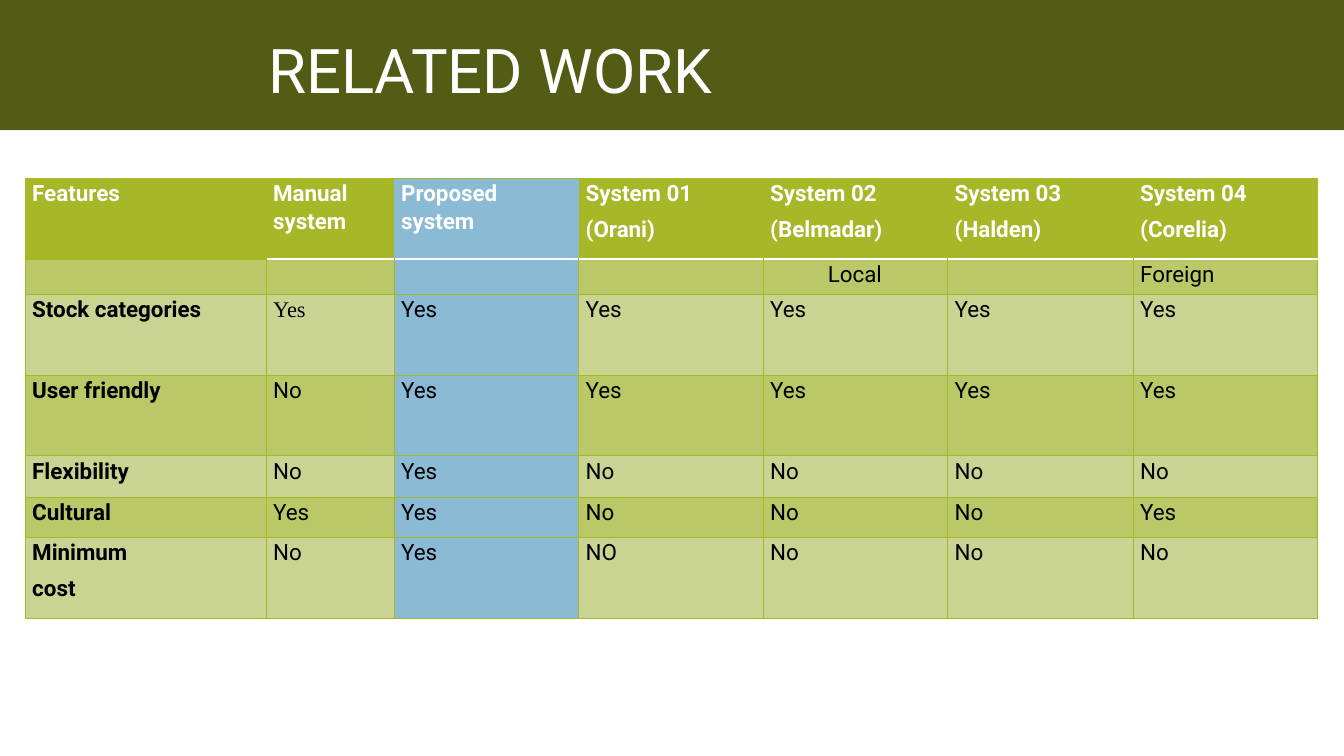
import dataclasses

import pptx
import pptx.dml.color
import pptx.enum.shapes
import pptx.enum.text
import pptx.oxml.ns
import pptx.table
import pptx.text.text
import pptx.util
from lxml import etree

RGB = pptx.dml.color.RGBColor
OLIVE = RGB(0x53, 0x5C, 0x14)
GREEN = RGB(0xA6, 0xB7, 0x27)
LIGHT = RGB(0xC9, 0xD4, 0x92)
DARK = RGB(0xBB, 0xC8, 0x67)
BLUE = RGB(0x8A, 0xBA, 0xD4)
WHITE = RGB(0xFF, 0xFF, 0xFF)
BLACK = RGB(0, 0, 0)

SANS = "Roboto"
SERIF = "Times New Roman"
SIZE = 16
ALIGN = pptx.enum.text.PP_ALIGN
MID = pptx.enum.text.MSO_ANCHOR.MIDDLE
OURS = 2  # column of the proposed system


@dataclasses.dataclass
class Row:
    high: int
    fill: RGB
    cells: list[str]


@dataclasses.dataclass
class Edge:
    side: str
    width: float
    color: RGB | None


COLS = [239, 127, 183, 183, 183, 184, 183]
ROWS = [
    Row(80, GREEN, ["Features", "Manual system", "Proposed system",
                    "System 01\n(Orani)", "System 02\n(Belmadar)",
                    "System 03\n(Halden)", "System 04\n(Corelia)"]),
    Row(35, DARK, ["", "", "", "", "Local", "", "Foreign"]),
    Row(80, LIGHT, ["Stock categories"] + ["Yes"] * 6),
    Row(80, DARK, ["User friendly", "No"] + ["Yes"] * 5),
    Row(41, LIGHT, ["Flexibility", "No", "Yes"] + ["No"] * 4),
    Row(40, DARK, ["Cultural", "Yes", "Yes", "No", "No", "No", "Yes"]),
    Row(80, LIGHT, ["Minimum\ncost", "No", "Yes", "NO", "No", "No", "No"]),
]


def px(num: int) -> int:
    """Turn px, one hundred to the inch, into EMU."""
    return pptx.util.Emu(num * 9144)


def write(para: pptx.text.text._Paragraph, text: str, size: int, color: RGB,
          bold: bool = False, face: str = SANS) -> None:
    run = para.add_run()
    run.text = text
    run.font.size = pptx.util.Pt(size)
    run.font.name = face
    run.font.bold = bold
    run.font.color.rgb = color


def add_edge(cell: pptx.table._Cell, edge: Edge) -> None:
    name = pptx.oxml.ns.qn
    props = cell._tc.get_or_add_tcPr()
    line = etree.SubElement(props, name(f"a:ln{edge.side}"))
    line.set("w", str(pptx.util.Pt(edge.width)))
    if edge.color is None:
        etree.SubElement(line, name("a:noFill"))
        return
    fill = etree.SubElement(line, name("a:solidFill"))
    etree.SubElement(fill, name("a:srgbClr")).set("val", str(edge.color))


def list_edges(r: int, c: int) -> list[Edge]:
    """Borders of a cell, in the order left, right, top, bottom."""
    last = len(COLS) - 1
    thin = GREEN
    if r == 0:
        return [Edge("L", 0.5, thin if c == 0 else None),
                Edge("R", 0.5, thin if c == last else None),
                Edge("T", 0.5, thin),
                Edge("B", 1, WHITE if c else thin)]
    return [Edge("L", 1 if c == 1 else 0.5, thin),
            Edge("R", 1 if c == 0 else 0.5, thin),
            Edge("T", 1, WHITE) if r == 1 and c else Edge("T", 0.5, thin),
            Edge("B", 0.5, thin)]


def fill_cell(cell: pptx.table._Cell, r: int, c: int) -> None:
    row = ROWS[r]
    cell.margin_left, cell.margin_right = px(7), px(8)
    cell.margin_top, cell.margin_bottom = px(1), 0
    for edge in list_edges(r, c):
        add_edge(cell, edge)
    cell.fill.solid()
    cell.fill.fore_color.rgb = BLUE if c == OURS else row.fill

    parts = row.cells[c].split("\n")
    for num, part in enumerate(parts):
        frame = cell.text_frame
        para = frame.add_paragraph() if num else frame.paragraphs[0]
        para.line_spacing = 1.07
        if num < len(parts) - 1:
            para.space_after = pptx.util.Pt(5.8)
        if part == "Local":
            para.alignment = ALIGN.CENTER
        if part:
            write(para, part, SIZE, BLACK if r else WHITE, r == 0 or c == 0,
                  SERIF if (r, c) == (2, 1) else SANS)
        else:
            end = etree.SubElement(para._p, pptx.oxml.ns.qn("a:endParaRPr"))
            end.set("sz", str(SIZE * 100))


def main() -> None:
    deck = pptx.Presentation()
    deck.slide_width, deck.slide_height = px(1333), px(750)
    slide = deck.slides.add_slide(deck.slide_layouts[6])
    shapes = slide.shapes

    # Title band
    band = shapes.add_shape(pptx.enum.shapes.MSO_SHAPE.RECTANGLE,
                            px(-2), 0, px(1335), px(129))
    band.shadow.inherit = False
    band.fill.solid()
    band.fill.fore_color.rgb = OLIVE
    band.line.fill.background()

    # Title
    title = shapes.add_textbox(px(23), px(13), px(927), px(120)).text_frame
    title.word_wrap = True
    title.vertical_anchor = MID
    head = title.paragraphs[0]
    head.alignment = ALIGN.CENTER
    head.line_spacing = 0.9
    write(head, "RELATED WORK", 44, WHITE)

    # Comparison table
    high = sum(row.high for row in ROWS)
    table = shapes.add_table(len(ROWS), len(COLS), px(25), px(177),
                             px(sum(COLS)), px(high)).table
    table.horz_banding = False
    for c, wide in enumerate(COLS):
        table.columns[c].width = px(wide)
    for r, row in enumerate(ROWS):
        table.rows[r].height = px(row.high)
        for c in range(len(COLS)):
            fill_cell(table.cell(r, c), r, c)

    deck.save("out.pptx")


if __name__ == "__main__":
    main()
